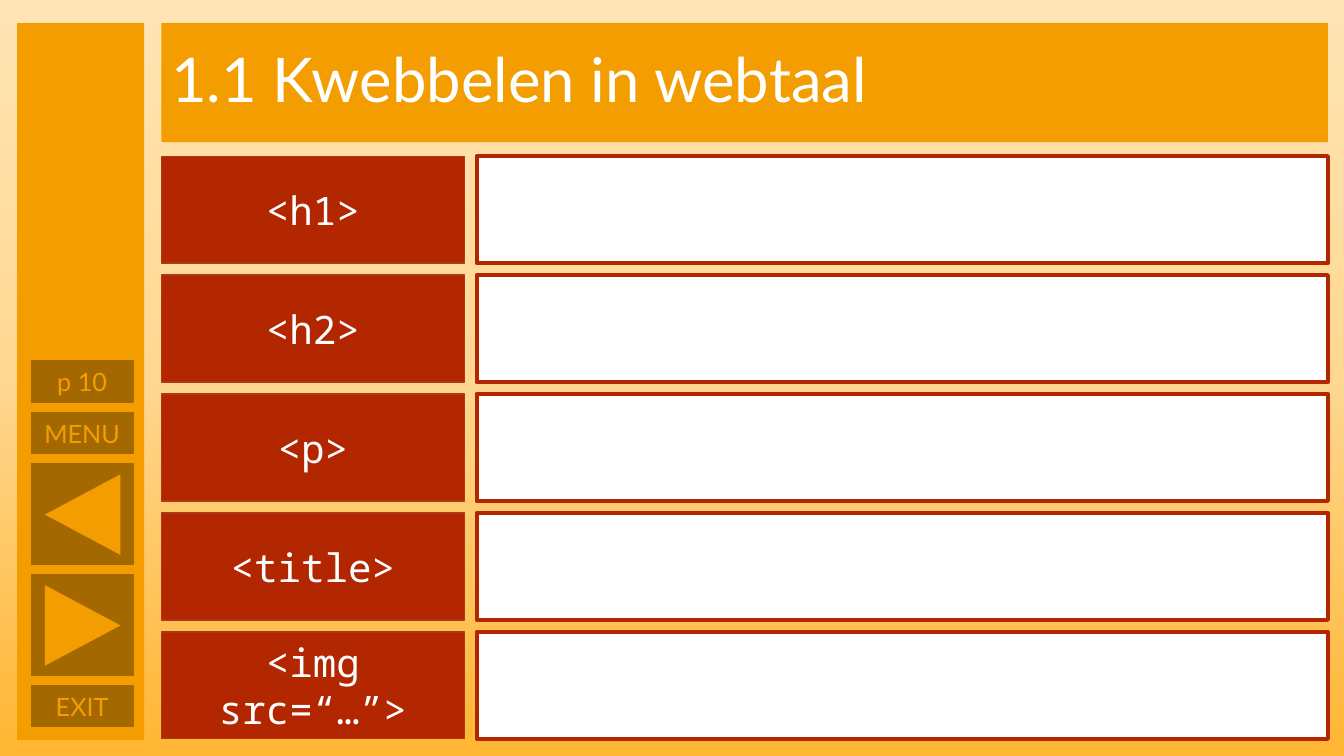
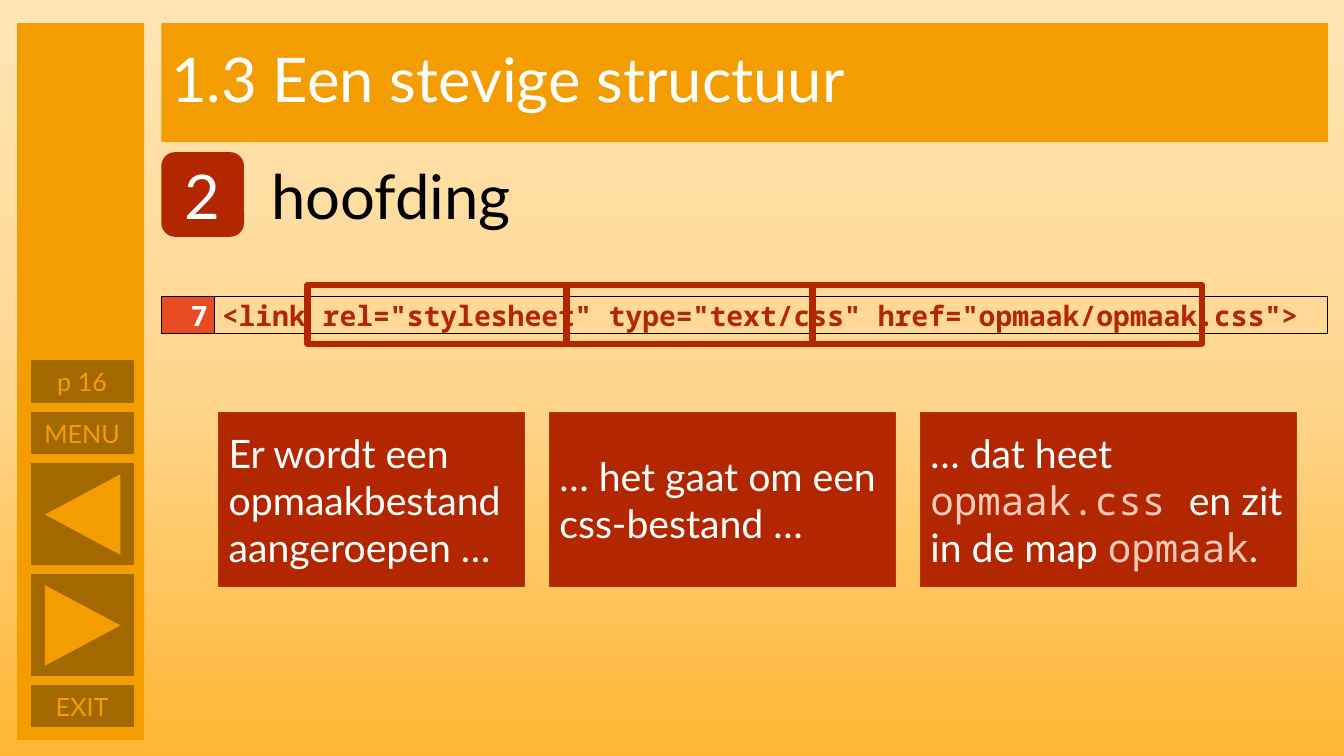
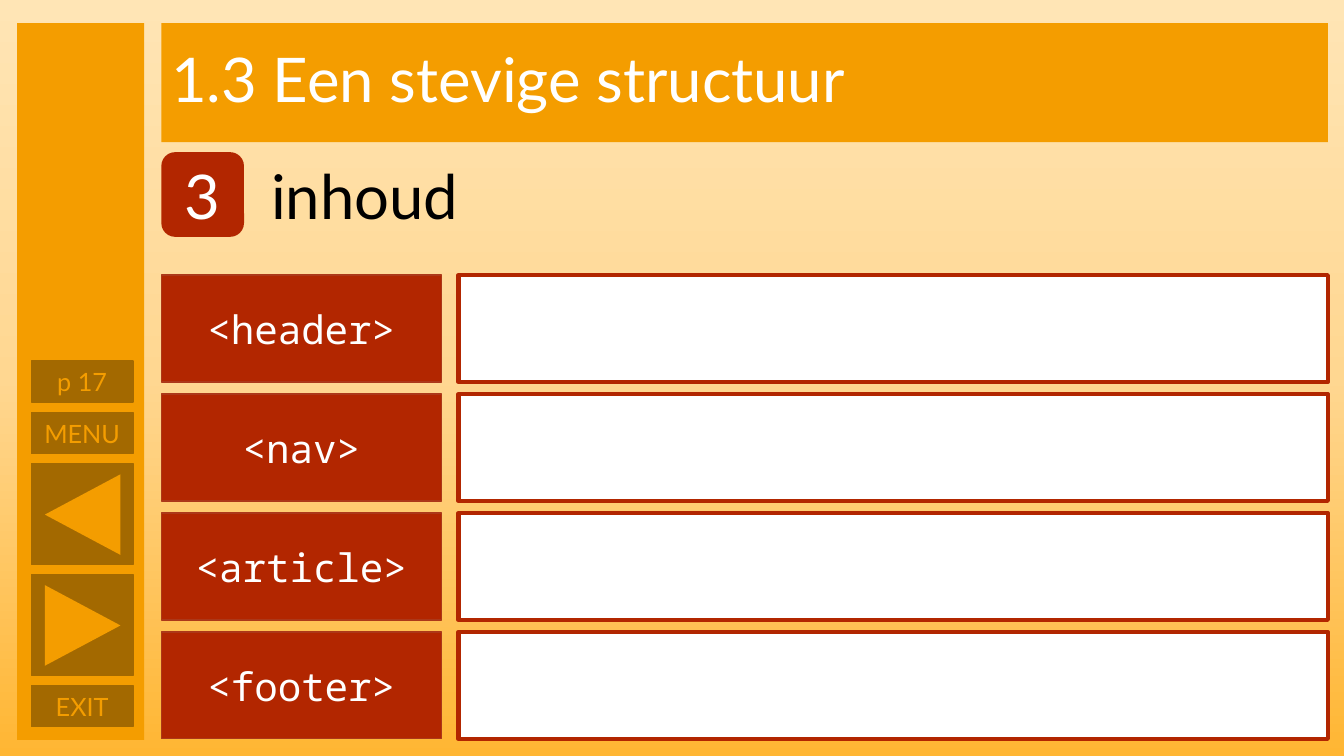
from copy import deepcopy

from lxml.etree import SubElement
from pptx import Presentation
from pptx.dml.color import RGBColor
from pptx.enum.shapes import MSO_SHAPE
from pptx.enum.text import MSO_ANCHOR, PP_ALIGN
from pptx.oxml.ns import qn
from pptx.util import Inches, Pt

# Colours and fonts
ORANGE = RGBColor(0xF4, 0x9D, 0x00)
BROWN = RGBColor(0xA3, 0x69, 0x00)
RED = RGBColor(0xB2, 0x26, 0x00)
RED_EDGE = RGBColor(0xAC, 0x38, 0x19)
BRIGHT_RED = RGBColor(0xE8, 0x4C, 0x22)
PINK = RGBColor(0xFF, 0xCB, 0xBD)
WHITE = RGBColor(0xFF, 0xFF, 0xFF)
BLACK = RGBColor(0x00, 0x00, 0x00)
GRADIENT = [
    (0, RGBColor(0xFF, 0xE5, 0xB5)),
    (0.5, RGBColor(0xFF, 0xD7, 0x91)),
    (1, RGBColor(0xFF, 0xB6, 0x33)),
]
SANS, MONO = "Lato", "Noto Sans Mono"

# Grid, in inches: a sidebar, then a content area with a title and five rows
TOP = 0.23
SIDE_X, SIDE_W, SIDE_H = 0.17, 1.26, 7.11
BTN_X, BTN_Y, BTN_W, BTN_GAP = 0.31, 3.58, 1.01, 0.1
LEFT, WIDTH = 1.6, 11.57
RIGHT = LEFT + WIDTH
ROW_Y, ROW_STEP, ROW_H = 1.55, 1.18, 1.06
HEAD_Y, HEAD_H, BADGE_W, HEAD_X = 1.51, 0.84, 0.82, 2.59


def box(s, kind, x, y, w, h, fill=None, line=None, line_w=1):
    sp = s.shapes.add_shape(kind, Inches(x), Inches(y), Inches(w), Inches(h))
    sp.shadow.inherit = False
    if fill is None:
        sp.fill.background()
    else:
        sp.fill.solid()
        sp.fill.fore_color.rgb = fill
    if line is None:
        sp.line.fill.background()
    else:
        sp.line.color.rgb = line
        sp.line.width = Pt(line_w)
    return sp


def write(tf, runs, size, align=PP_ALIGN.LEFT, bold=False):
    p = tf.paragraphs[0]
    p.alignment = align
    for text, font, color in runs:
        r = p.add_run()
        r.text = text
        r.font.name = font
        r.font.size = Pt(size)
        r.font.bold = bold
        r.font.color.rgb = color
    return p


prs = Presentation()
prs.slide_width, prs.slide_height = Inches(13.33), Inches(7.5)

# Shared background, set on the master
master = prs.slide_master
bg = master.background.fill
bg.gradient()
bg.gradient_angle = 270
stops = master.element.find(".//" + qn("a:gsLst"))
stops.append(deepcopy(stops[-1]))
for stop, (position, color) in zip(bg.gradient_stops, GRADIENT):
    stop.position = position
    stop.color.rgb = color

# Title, page, section heading, tags, label share of the width, column gap
pages = [
    ("1.1 Kwebbelen in webtaal", "p 10", None,
     ["<h1>", "<h2>", "<p>", "<title>", "<img src=“…”>"], 0.26, 0.12),
    ("1.3 Een stevige structuur", "p 16", ("2", "hoofding"), [], 0, 0),
    ("1.3 Een stevige structuur", "p 17", ("3", "inhoud"),
     ["<header>", "<nav>", "<article>", "<footer>"], 0.24, 0.17),
]

for title, page, section, tags, share, gap in pages:
    s = prs.slides.add_slide(prs.slide_layouts[6])

    # Title band
    sp = box(s, MSO_SHAPE.RECTANGLE, LEFT, TOP, WIDTH, ROW_STEP, ORANGE)
    p = write(sp.text_frame, [(title, SANS, WHITE)], 44)
    p.line_spacing = 0.9

    # Sidebar with buttons; a number stands for the rotation of an arrow
    box(s, MSO_SHAPE.RECTANGLE, SIDE_X, TOP, SIDE_W, SIDE_H, ORANGE)
    y = BTN_Y
    for label, h in [(page, 0.41), ("MENU", 0.41), (270, 1), (90, 1), ("EXIT", 0.41)]:
        sp = box(s, MSO_SHAPE.RECTANGLE, BTN_X, y, BTN_W, h, BROWN, BROWN)
        if isinstance(label, str):
            write(sp.text_frame, [(label, SANS, ORANGE)], 18, PP_ALIGN.CENTER)
        else:
            arrow = box(s, MSO_SHAPE.ISOSCELES_TRIANGLE,
                        BTN_X + 0.11, y + 0.13, 0.8, 0.75, ORANGE)
            arrow.rotation = label
        y += h + BTN_GAP

    # Numbered section heading
    if section:
        number, heading = section
        sp = box(s, MSO_SHAPE.ROUNDED_RECTANGLE, LEFT, HEAD_Y, BADGE_W, HEAD_H, RED)
        write(sp.text_frame, [(number, SANS, WHITE)], 44, PP_ALIGN.CENTER)
        sp = s.shapes.add_textbox(Inches(HEAD_X), Inches(HEAD_Y),
                                  Inches(RIGHT - HEAD_X), Inches(HEAD_H))
        tf = sp.text_frame
        tf.word_wrap = True
        tf.vertical_anchor = MSO_ANCHOR.MIDDLE
        write(tf, [(heading, SANS, BLACK)], 44)

    # Tags with answer boxes, filling the grid down to the last row
    label_w = share * WIDTH
    answer_x = LEFT + label_w + gap
    for row, tag in enumerate(tags, 5 - len(tags)):
        y = ROW_Y + row * ROW_STEP
        sp = box(s, MSO_SHAPE.RECTANGLE, LEFT, y, label_w, ROW_H, RED, RED_EDGE)
        write(sp.text_frame, [(tag, MONO, WHITE)], 28, PP_ALIGN.CENTER)
        box(s, MSO_SHAPE.RECTANGLE, answer_x, y, RIGHT - answer_x, ROW_H, WHITE, RED, 3)

# Code line on the second slide
s = prs.slides[1]
table = s.shapes.add_table(1, 2, Inches(LEFT), Inches(2.94),
                           Inches(WIDTH), Inches(0.37)).table
table.first_row = table.horz_banding = False
code = '<link rel="stylesheet" type="text/css" href="opmaak/opmaak.css">'
cells = [
    (0.53, "7", WHITE, BRIGHT_RED, PP_ALIGN.RIGHT),
    (WIDTH - 0.53, code, RED, None, PP_ALIGN.LEFT),
]
for i, (w, text, color, fill, align) in enumerate(cells):
    table.columns[i].width = Inches(w)
    cell = table.cell(0, i)
    cell.margin_left = cell.margin_right = Inches(0.07)
    cell.margin_top = cell.margin_bottom = 0
    for side in ("a:lnL", "a:lnR", "a:lnT", "a:lnB"):
        ln = SubElement(cell._tc.get_or_add_tcPr(), qn(side), w=str(Pt(1)))
        SubElement(SubElement(ln, qn("a:solidFill")), qn("a:srgbClr"), val=str(BLACK))
    if fill is None:
        cell.fill.background()
    else:
        cell.fill.solid()
        cell.fill.fore_color.rgb = fill
    write(cell.text_frame, [(text, MONO, color)], 20, align, True)

# Frames around the attributes, each with its explanation below
notes = [
    (2.57, 3.03, [("Er wordt een opmaakbestand aangeroepen …", SANS, WHITE)]),
    (2.44, 3.43, [("… het gaat om een css-bestand …", SANS, WHITE)]),
    (3.86, 3.73, [("… dat heet ", SANS, WHITE), ("opmaak.css ", MONO, PINK),
                  ("en zit in de map ", SANS, WHITE), ("opmaak", MONO, PINK),
                  (".", SANS, WHITE)]),
]
frame_x, note_x = 3.05, 2.17
for frame_w, note_w, runs in notes:
    sp = box(s, MSO_SHAPE.RECTANGLE, note_x, 4.09, note_w, 1.73, RED, RED_EDGE)
    write(sp.text_frame, runs, 28)
    box(s, MSO_SHAPE.RECTANGLE, frame_x, 2.83, frame_w, 0.58, None, RED, 4.5)
    frame_x += frame_w
    note_x += note_w + 0.25

prs.save("out.pptx")
